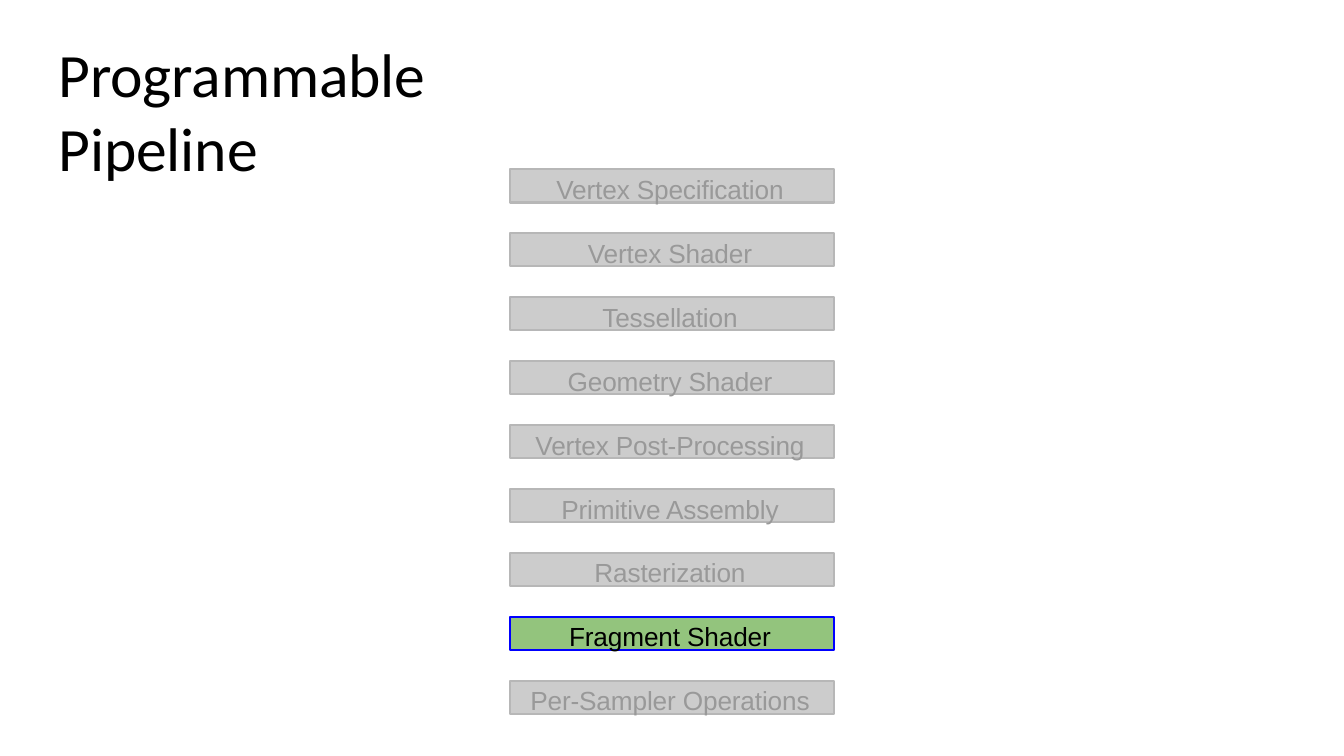
from dataclasses import dataclass

from pptx import Presentation
from pptx.dml.color import RGBColor
from pptx.enum import shapes, text
from pptx.util import Inches, Pt

HEX = {
    "ink": "000000",
    "mute": "999999",
    "grey": "CCCCCC",
    "rim": "B7B7B7",
    "green": "93C47D",
    "blue": "0000FF",
}


@dataclass
class Look:
    fill: str
    line: str
    ink: str


@dataclass
class Stage:
    name: str
    look: Look


IDLE = Look("grey", "rim", "mute")
LIVE = Look("green", "blue", "ink")

STAGES = [
    Stage("Vertex Specification", IDLE),
    Stage("Vertex Shader", IDLE),
    Stage("Tessellation", IDLE),
    Stage("Geometry Shader", IDLE),
    Stage("Vertex Post-Processing", IDLE),
    Stage("Primitive Assembly", IDLE),
    Stage("Rasterization", IDLE),
    Stage("Fragment Shader", LIVE),
    Stage("Per-Sampler Operations", IDLE),
]
LEFT, TOP, WIDE, HIGH = 5.06, 1.68, 3.21, 0.33
STEP = 0.634


def rgb(key: str) -> RGBColor:
    return RGBColor.from_string(HEX[key])


def place(shape, left: float, top: float, wide: float, high: float) -> None:
    shape.left, shape.top = Inches(left), Inches(top)
    shape.width, shape.height = Inches(wide), Inches(high)


def write(shape, words: str, face: str, size: float, ink: str, align, anchor,
          pads: tuple[float, float, float, float]) -> None:
    """Fill the shape with one run; pads are left, top, right, bottom in inches."""
    frame = shape.text_frame
    frame.word_wrap = True
    frame.auto_size = text.MSO_AUTO_SIZE.NONE
    frame.vertical_anchor = anchor
    frame.margin_left, frame.margin_top = Inches(pads[0]), Inches(pads[1])
    frame.margin_right, frame.margin_bottom = Inches(pads[2]), Inches(pads[3])
    para = frame.paragraphs[0]
    para.alignment = align
    run = para.add_run()
    run.text = words
    run.font.name = face
    run.font.size = Pt(size)
    run.font.color.rgb = rgb(ink)
    run._r.get_or_add_rPr().set("spc", "-10")


def draw_title(slide) -> None:
    title = slide.shapes.title
    place(title, 0.56, 0.31, 5.41, 1.5)
    write(title, "Programmable Pipeline", "Calibri", 44, "ink",
          text.PP_ALIGN.LEFT, text.MSO_ANCHOR.MIDDLE, (0.02, 0.06, 0, 0))


def draw_stage(slide, stage: Stage, top: float) -> None:
    box = slide.shapes.add_shape(
        shapes.MSO_SHAPE.RECTANGLE,
        Inches(LEFT), Inches(top), Inches(WIDE), Inches(HIGH))
    box.shadow.inherit = False
    box.fill.solid()
    box.fill.fore_color.rgb = rgb(stage.look.fill)
    box.line.color.rgb = rgb(stage.look.line)
    box.line.width = Pt(1.5)
    write(box, stage.name, "Arial", 18.7, stage.look.ink,
          text.PP_ALIGN.CENTER, text.MSO_ANCHOR.TOP, (0, 0.04, 0.04, 0))


def main() -> None:
    deck = Presentation()
    deck.slide_width, deck.slide_height = Inches(13.33), Inches(7.5)
    slide = deck.slides.add_slide(deck.slide_layouts[5])
    draw_title(slide)
    for row, stage in enumerate(STAGES):
        draw_stage(slide, stage, TOP + row * STEP)
    deck.save("out.pptx")


if __name__ == "__main__":
    main()
